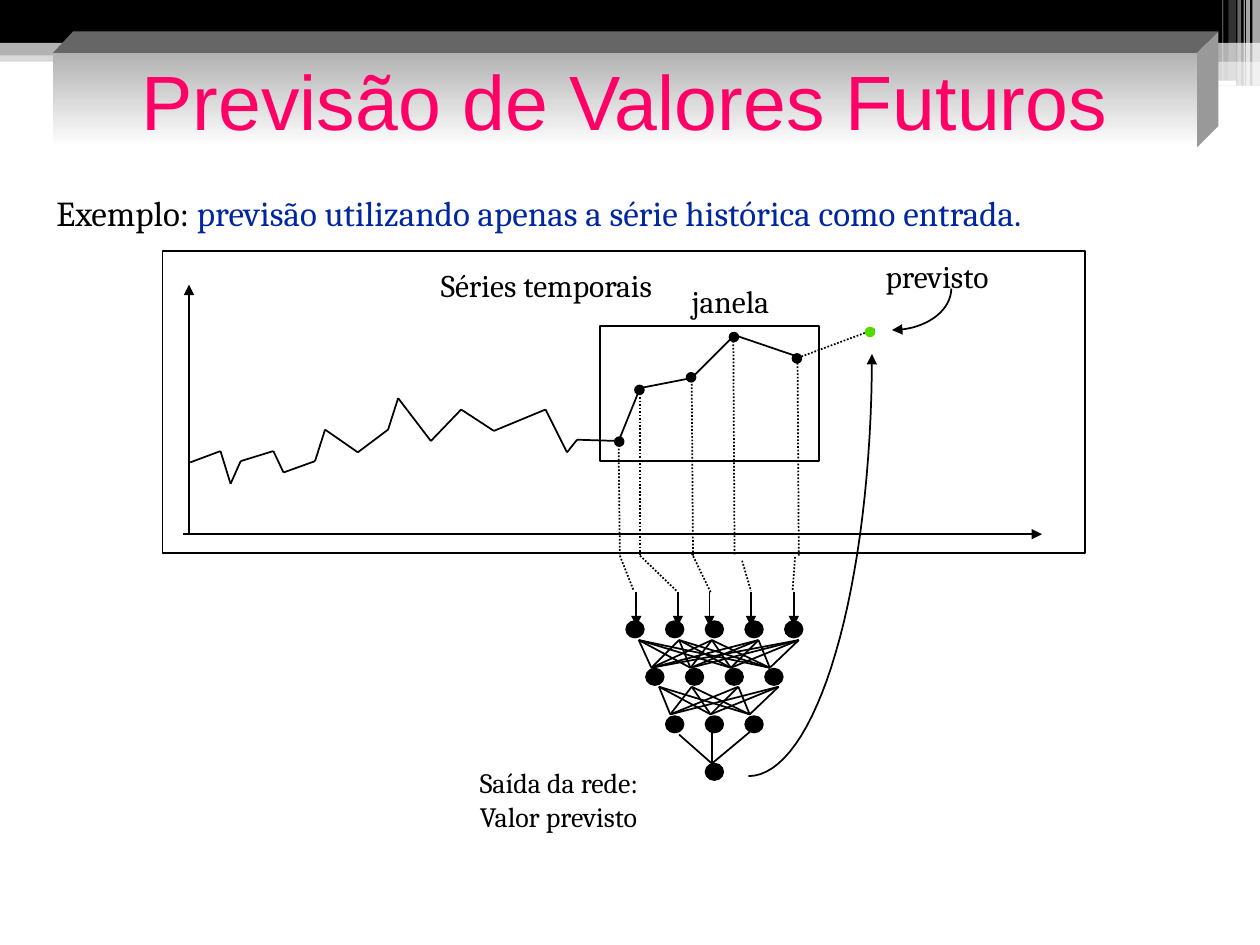
from dataclasses import dataclass
from itertools import pairwise, product
from math import cos, pi, sin

from lxml.etree import SubElement
from pptx import Presentation
from pptx.dml.color import RGBColor
from pptx.enum.dml import MSO_LINE
from pptx.enum.shapes import MSO_CONNECTOR, MSO_SHAPE
from pptx.enum.text import MSO_ANCHOR, MSO_AUTO_SIZE, PP_ALIGN
from pptx.oxml.ns import qn
from pptx.util import Inches, Pt

BLACK = RGBColor(0x00, 0x00, 0x00)
WHITE = RGBColor(0xFF, 0xFF, 0xFF)
SILVER = RGBColor(0xB2, 0xB2, 0xB2)
BEVEL_TOP = RGBColor(0x66, 0x66, 0x66)
BEVEL_SIDE = RGBColor(0x99, 0x99, 0x99)
PINK = RGBColor(0xFF, 0x00, 0x66)
NAVY = RGBColor(0x00, 0x27, 0x9F)
GREEN = RGBColor(0x51, 0xDC, 0x00)

Point = tuple[float, float]


@dataclass
class Band:
    left: float
    top: float
    width: float
    height: float
    color: RGBColor
    opacity: int = 100
    kind: MSO_SHAPE = MSO_SHAPE.RECTANGLE


@dataclass
class Label:
    left: float
    top: float
    width: float
    height: float
    size: int
    lines: tuple[str, ...]


@dataclass
class Input:
    sample: Point
    drop_end: Point
    lead_start: Point
    lead_end: Point
    arrow_x: float


BANDS = [
    Band(0, 0.4, 10, 0.09, SILVER, 50),
    Band(0, 0, 10, 0.34, BLACK),
    Band(0, 0.34, 10, 0.1, SILVER),
    Band(5.92, 0.39, 4.08, 0.1, SILVER),
    Band(5.92, 0.48, 4.08, 0.2, SILVER, 50),
    Band(5.91, 0.54, 3.35, 0.03, WHITE, kind=MSO_SHAPE.ROUNDED_RECTANGLE),
    Band(8.06, 0.64, 1.75, 0.04, WHITE, kind=MSO_SHAPE.ROUNDED_RECTANGLE),
    Band(9.94, 0, 0.06, 0.68, WHITE, 65),
    Band(9.89, 0, 0.03, 0.68, WHITE, 65),
    Band(9.87, 0, 0.01, 0.68, WHITE, 60),
    Band(9.82, 0, 0.03, 0.68, WHITE, 40),
    Band(9.75, 0, 0.06, 0.64, WHITE, 20),
    Band(9.7, 0, 0.01, 0.64, WHITE, 30),
]
LABELS = [
    Label(3.4, 2.06, 2.21, 0.4, 18, ("Séries temporais",)),
    Label(5.39, 2.19, 0.86, 0.4, 18, ("janela",)),
    Label(6.93, 1.99, 1.17, 0.4, 18, ("previsto",)),
    Label(3.71, 6.03, 1.72, 0.63, 16, ("Saída da rede:", "Valor previsto")),
]
SERIES = [
    (1.51, 3.67), (1.75, 3.58), (1.83, 3.84), (1.91, 3.66), (2.17, 3.58), (2.25, 3.75),
    (2.5, 3.66), (2.58, 3.41), (2.84, 3.59), (3.08, 3.41), (3.16, 3.16), (3.42, 3.5),
    (3.66, 3.25), (3.92, 3.42), (4.33, 3.25), (4.5, 3.59), (4.58, 3.49), (4.91, 3.5),
    (5.08, 3.08), (5.49, 3.0), (5.83, 2.66), (6.33, 2.83),
]
INPUTS = [
    Input((4.91, 3.56), (4.92, 4.41), (4.92, 4.41), (5.03, 4.69), 5.05),
    Input((5.08, 3.07), (5.08, 4.41), (5.08, 4.41), (5.37, 4.69), 5.38),
    Input((5.49, 3.02), (5.5, 4.41), (5.49, 4.39), (5.64, 4.7), 5.63),
    Input((5.82, 2.65), (5.83, 4.41), (5.89, 4.45), (5.96, 4.69), 5.96),
    Input((6.33, 2.88), (6.34, 4.42), (6.31, 4.42), (6.29, 4.69), 6.3),
]
SAMPLE_DOTS = [(4.88, 3.47), (5.04, 3.06), (5.45, 2.96), (5.79, 2.64), (6.29, 2.81)]

presentation = Presentation()
presentation.slide_width, presentation.slide_height = Inches(10), Inches(7.5)
slide = presentation.slides.add_slide(presentation.slide_layouts[1])
shapes = slide.shapes


def place(shape, left: float, top: float, width: float, height: float) -> None:
    shape.left, shape.top = Inches(left), Inches(top)
    shape.width, shape.height = Inches(width), Inches(height)


def style_line(shape, color: RGBColor = BLACK, head: bool = False, tail: bool = False) -> None:
    shape.line.color.rgb = color
    shape.line.width = Pt(1)
    outline = shape.line._get_or_add_ln()
    for tag, wanted in (("a:headEnd", head), ("a:tailEnd", tail)):
        if wanted:
            SubElement(outline, qn(tag), type="triangle")


def add_line(start: Point, end: Point, dotted: bool = False, head: bool = False, tail: bool = False) -> None:
    link = shapes.add_connector(MSO_CONNECTOR.STRAIGHT, *map(Inches, (*start, *end)))
    if dotted:
        link.line.dash_style = MSO_LINE.ROUND_DOT
    style_line(link, head=head, tail=tail)
    SubElement(link._element.spPr, qn("a:effectLst"))


def add_block(band: Band) -> None:
    block = shapes.add_shape(band.kind, *map(Inches, (band.left, band.top, band.width, band.height)))
    block.shadow.inherit = False
    block.fill.solid()
    block.fill.fore_color.rgb = band.color
    block.line.fill.background()
    if band.opacity < 100:
        tint = block._element.spPr.find(qn("a:solidFill"))[0]
        SubElement(tint, qn("a:alpha"), val=str(band.opacity * 1000))


def add_frame(left: float, top: float, width: float, height: float) -> None:
    frame = shapes.add_shape(MSO_SHAPE.RECTANGLE, *map(Inches, (left, top, width, height)))
    frame.shadow.inherit = False
    frame.fill.background()
    style_line(frame)


def add_dot(left: float, top: float, width: float, height: float, color: RGBColor = BLACK) -> None:
    dot = shapes.add_shape(MSO_SHAPE.OVAL, *map(Inches, (left, top, width, height)))
    dot.shadow.inherit = False
    dot.fill.solid()
    dot.fill.fore_color.rgb = color
    style_line(dot, color)


def add_outline(points: list[Point], close: bool):
    corners = [(Inches(x), Inches(y)) for x, y in points]
    builder = shapes.build_freeform(*corners[0], scale=1.0)
    builder.add_line_segments(corners[1:], close=close)
    outline = builder.convert_to_shape()
    outline.shadow.inherit = False
    return outline


def add_bevel(points: list[Point], color: RGBColor) -> None:
    bevel = add_outline(points, True)
    bevel.fill.solid()
    bevel.fill.fore_color.rgb = color
    bevel.line.fill.background()


def add_arc(center: Point, radii: Point, head: bool = False, tail: bool = False) -> None:
    angles = [step * pi / 64 for step in range(33)]
    points = [(center[0] + radii[0] * cos(a), center[1] + radii[1] * sin(a)) for a in angles]
    arc = add_outline(points, False)
    arc.fill.background()
    style_line(arc, head=head, tail=tail)


def add_run(paragraph, text: str, font: str, size: int, color: RGBColor) -> None:
    run = paragraph.add_run()
    run.text = text
    run.font.name, run.font.size, run.font.color.rgb = font, Pt(size), color


def add_label(label: Label) -> None:
    box = shapes.add_textbox(*map(Inches, (label.left, label.top, label.width, label.height)))
    frame = box.text_frame
    frame.word_wrap = False
    frame.auto_size = MSO_AUTO_SIZE.SHAPE_TO_FIT_TEXT
    for index, line in enumerate(label.lines):
        paragraph = frame.add_paragraph() if index else frame.paragraphs[0]
        add_run(paragraph, line, "Cambria", label.size, BLACK)


for band in BANDS:
    add_block(band)

add_frame(1.29, 1.99, 7.32, 2.4)
add_frame(4.76, 2.59, 1.74, 1.07)
add_line((1.5, 2.26), (1.5, 4.24), head=True)
add_line((1.45, 4.24), (8.27, 4.24), tail=True)
for start, end in pairwise(SERIES):
    add_line(start, end)
for entry in INPUTS:
    add_line(entry.sample, entry.drop_end, dotted=True)
    add_line(entry.lead_start, entry.lead_end, dotted=True)
    add_line((entry.arrow_x, 4.7), (entry.arrow_x, 4.97), tail=True)
for left, top in SAMPLE_DOTS:
    add_dot(left, top, 0.07, 0.07)
add_line((6.36, 2.83), (6.95, 2.61), dotted=True)
add_dot(6.87, 2.6, 0.07, 0.07, GREEN)

for row, count in enumerate((5, 4, 3, 1)):
    for column in range(count):
        add_dot(5.6 + 0.315 * (column - (count - 1) / 2), 4.93 + 0.377 * row, 0.14, 0.13)
for x_from, x_to in product((5.07, 5.39, 5.65, 6.02, 6.34), (5.17, 5.48, 5.8, 6.11)):
    add_line((x_from, 5.08), (x_to, 5.3))
for x_from, x_to in product((5.23, 5.49, 5.86, 6.18), (5.32, 5.64, 5.95)):
    add_line((x_from, 5.45), (x_to, 5.67))
for start in ((5.39, 5.83), (5.65, 5.81), (5.95, 5.81)):
    add_line(start, (5.65, 6.06))

for label in LABELS:
    add_label(label)
add_arc((7.08, 2.29), (0.47, 0.33), tail=True)
add_arc((5.94, 2.81), (0.98, 3.35), head=True)

add_bevel([(0.42, 0.42), (0.58, 0.25), (9.67, 0.25), (9.5, 0.42)], BEVEL_TOP)
add_bevel([(9.5, 0.42), (9.67, 0.25), (9.67, 1.0), (9.5, 1.17)], BEVEL_SIDE)

title, example = slide.placeholders
for placeholder in (title, example):
    shapes._spTree.append(placeholder._element)
    placeholder.text_frame.word_wrap = True
    placeholder.text_frame.auto_size = MSO_AUTO_SIZE.NONE

place(title, 0.42, 0.42, 9.08, 0.75)
title.fill.gradient()
title.fill.gradient_angle = 270
for stop, color, position in zip(title.fill.gradient_stops, (SILVER, WHITE), (0, 1)):
    stop.color.rgb, stop.position = color, position
title.text_frame.vertical_anchor = MSO_ANCHOR.MIDDLE
heading = title.text_frame.paragraphs[0]
heading.alignment = PP_ALIGN.CENTER
add_run(heading, "Previsão de Valores Futuros", "Arial", 44, PINK)

place(example, 0.25, 1.17, 9.42, 0.75)
example.text_frame.vertical_anchor = MSO_ANCHOR.TOP
sentence = example.text_frame.paragraphs[0]
sentence.line_spacing, sentence.space_before = 1.4, Pt(0)
properties = sentence._p.get_or_add_pPr()
properties.set("marL", "0")
properties.set("indent", "0")
SubElement(properties, qn("a:buNone"))
add_run(sentence, " ", "Times New Roman", 28, NAVY)
add_run(sentence, "Exemplo:", "Cambria", 20, BLACK)
add_run(sentence, " previsão utilizando apenas a série histórica como entrada.", "Cambria", 20, NAVY)

presentation.save("out.pptx")
